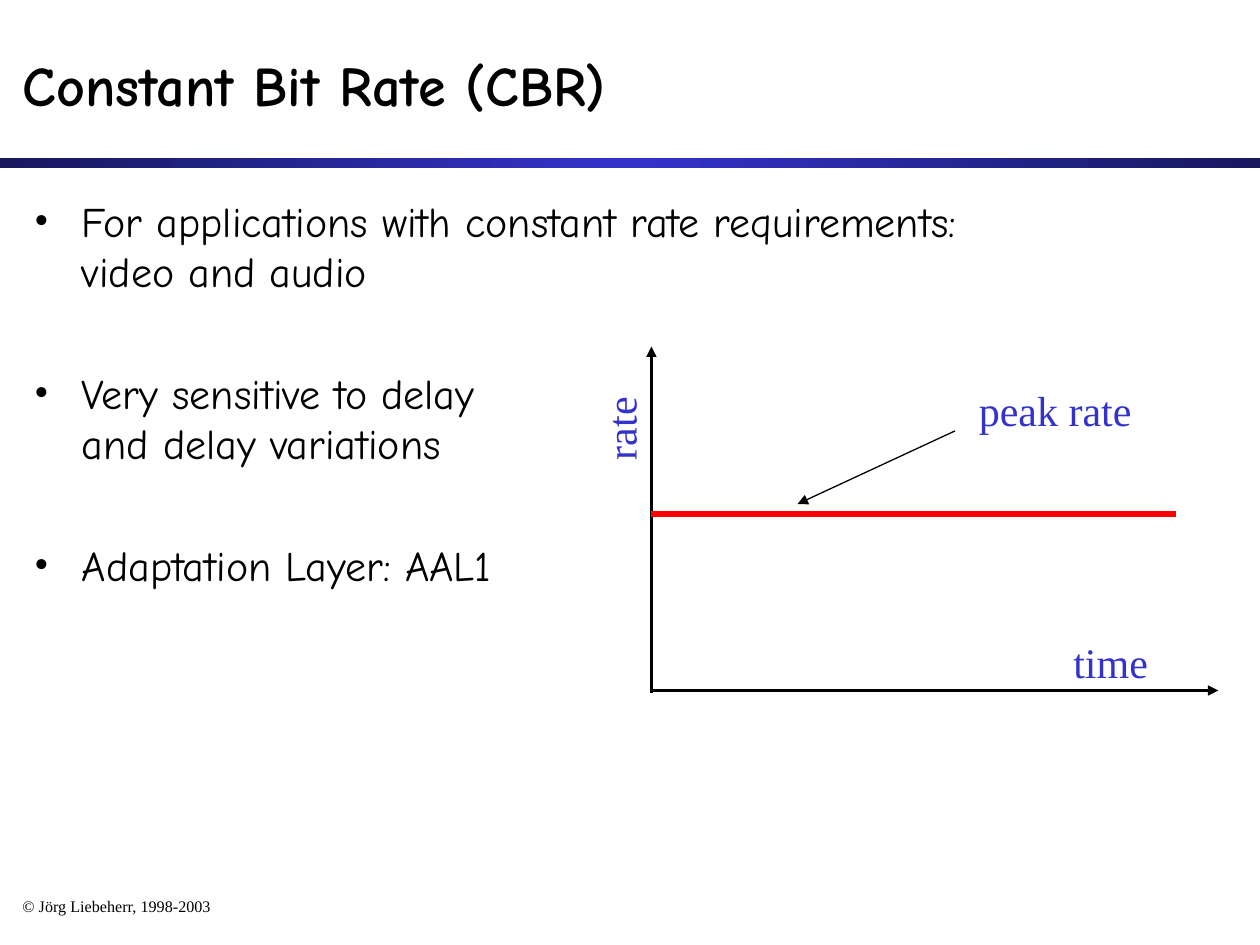
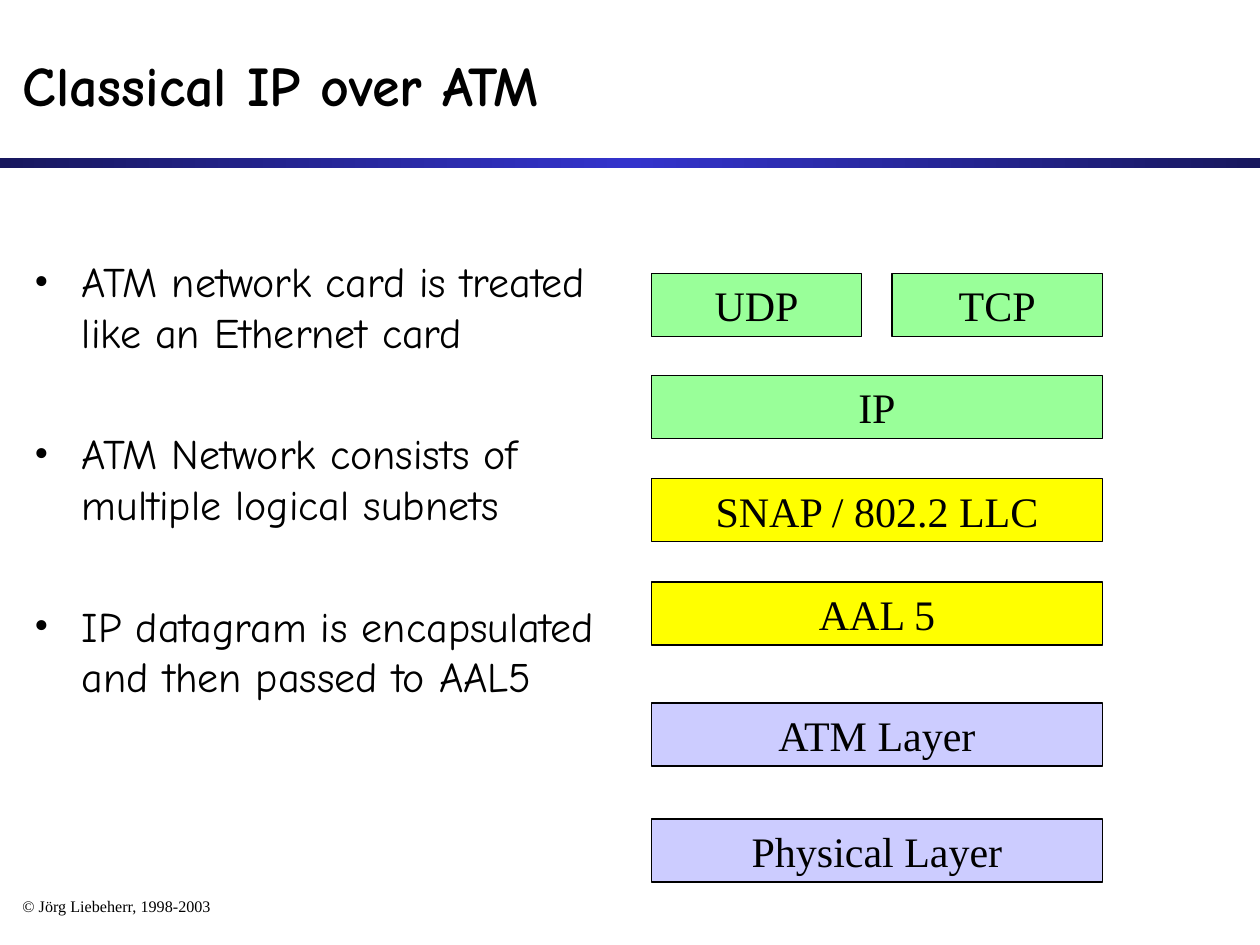
"""Build two slides on ATM: constant bit rate service and classical IP over ATM."""
from copy import deepcopy

from pptx import Presentation
from pptx.dml.color import RGBColor
from pptx.enum import shapes, text
from pptx.oxml import ns
from pptx.oxml.xmlchemy import OxmlElement
from pptx.util import Inches, Pt

COLORS = {
    "ink": "000000", "navy": "18185E", "blue": "3333CC", "red": "FF0000",
    "green": "99FF99", "yellow": "FFFF00", "lilac": "CCCCFF",
}
HEAD, SERIF = "Comic Neue", "Times New Roman"
TITLE = {"name": HEAD, "size": Pt(32), "bold": True}
BODY = {"name": HEAD, "size": Pt(24), "bold": False}
LABEL = {"name": SERIF, "size": Pt(24)}
FOOTER = {"name": SERIF, "size": Pt(9.2)}
STACK_LEFT, STACK_WIDTH, LAYER_HEIGHT, HALF_WIDTH = 5.17, 3.58, 0.5, 1.67


def rgb(name):
    return RGBColor.from_string(COLORS[name])


def format_runs(p, style, color="ink"):
    for r in p.runs:
        for key, value in style.items():
            setattr(r.font, key, value)
        r.font.color.rgb = rgb(color)
    for br in p._p.findall(ns.qn("a:br")):
        br.insert(0, deepcopy(p.runs[0]._r.rPr))


def place(sp, left, top, width, height):
    box = {"left": left, "top": top, "width": width, "height": height}
    for key, value in box.items():
        setattr(sp, key, Inches(value))


def add_rect(s, box, line=None):
    sp = s.shapes.add_shape(shapes.MSO_SHAPE.RECTANGLE, *map(Inches, box))
    sp.shadow.inherit = False
    if line:
        sp.line.color.rgb = rgb(line)
        sp.line.width = Pt(0.75)
    else:
        sp.line.fill.background()
    return sp


def add_band(s):
    sp = add_rect(s, (0, 1.25, 10, 0.08))
    sp.fill.gradient()
    sp.fill.gradient_angle = 0
    stops = sp._element.spPr.find(".//" + ns.qn("a:gsLst"))
    stops.append(deepcopy(stops[0]))
    for stop, position, color in zip(sp.fill.gradient_stops, (0, 0.5, 1), ("navy", "blue", "navy")):
        stop.position = position
        stop.color.rgb = rgb(color)


def add_text(s, words, box, style, color="ink", rotation=0):
    sp = s.shapes.add_textbox(*map(Inches, box))
    sp.rotation = rotation
    tf = sp.text_frame
    tf.word_wrap = True
    p = tf.paragraphs[0]
    p.text = words
    format_runs(p, style, color)
    return p


def add_line(s, start, end, color="ink", width=1.5, arrow=True):
    ends = map(Inches, (*start, *end))
    cx = s.shapes.add_connector(shapes.MSO_CONNECTOR.STRAIGHT, *ends)
    cx.line.color.rgb = rgb(color)
    cx.line.width = Pt(width)
    if arrow:
        tail = OxmlElement("a:tailEnd")
        tail.set("type", "triangle")
        cx.line._ln.append(tail)
    cx._element.spPr.append(OxmlElement("a:effectLst"))


def add_bullet(p):
    pPr = p._p.get_or_add_pPr()
    pPr.set("marL", str(Inches(0.38)))
    pPr.set("indent", str(-Inches(0.38)))
    for tag, key, value in (("a:buFont", "typeface", SERIF), ("a:buChar", "char", "•")):
        el = OxmlElement(tag)
        el.set(key, value)
        pPr.append(el)


def fill_body(sp, items):
    tf = sp.text_frame
    tf.auto_size = text.MSO_AUTO_SIZE.NONE
    for i, item in enumerate(items):
        p = tf.add_paragraph() if i else tf.paragraphs[0]
        p.text = item
        p.space_before = Pt(40.8 if i else 0)
        add_bullet(p)
        format_runs(p, BODY)


def add_slide(prs, title, items, body_box):
    s = prs.slides.add_slide(prs.slide_layouts[1])
    add_band(s)
    add_text(s, "© Jörg Liebeherr, 1998-2003", (0.08, 7.08, 2.83, 0.25), FOOTER).line_spacing = 0.9
    heading, body = s.placeholders
    place(heading, 0.08, 0.17, 9.83, 1)
    tf = heading.text_frame
    tf.text = title
    tf.auto_size = text.MSO_AUTO_SIZE.NONE
    tf.vertical_anchor = text.MSO_ANCHOR.MIDDLE
    tf.paragraphs[0].alignment = text.PP_ALIGN.LEFT
    format_runs(tf.paragraphs[0], TITLE)
    place(body, *body_box)
    fill_body(body, items)
    return s


def add_rate_plot(s):
    left, base = 5.17, 5.48
    add_line(s, (left, 5.5), (left, 2.75))
    add_line(s, (left, base), (9.67, base))
    add_line(s, (left, 4.08), (9.33, 4.08), "red", 3, arrow=False)
    add_line(s, (7.58, 3.42), (6.33, 4), width=0.75)
    for words, x, y, rotation in (("time", 8.42, 5, 0), ("rate", 4.13, 2.71, 270), ("peak rate", 7.67, 3, 0)):
        add_text(s, words, (x, y, 1.58, 0.5), LABEL, "blue", rotation)


def add_layer(s, words, color, top, left=STACK_LEFT, width=STACK_WIDTH):
    sp = add_rect(s, (left, top, width, LAYER_HEIGHT), "ink")
    sp.fill.solid()
    sp.fill.fore_color.rgb = rgb(color)
    tf = sp.text_frame
    tf.word_wrap = False
    tf.vertical_anchor = text.MSO_ANCHOR.MIDDLE
    p = tf.paragraphs[0]
    p.text = words
    p.alignment = text.PP_ALIGN.CENTER
    format_runs(p, LABEL)


def add_protocol_stack(s):
    add_layer(s, "UDP", "green", 2.17, width=HALF_WIDTH)
    add_layer(s, "TCP", "green", 2.17, STACK_LEFT + STACK_WIDTH - HALF_WIDTH, HALF_WIDTH)
    for words, color, top in (
        ("IP", "green", 2.98),
        ("SNAP / 802.2 LLC", "yellow", 3.8),
        ("AAL 5", "yellow", 4.62),
        ("ATM Layer", "lilac", 5.58),
        ("Physical Layer", "lilac", 6.5),
    ):
        add_layer(s, words, color, top)


def main():
    prs = Presentation()
    prs.slide_width, prs.slide_height = Inches(10), Inches(7.5)
    s = add_slide(prs, "Constant Bit Rate (CBR)", [
        "For applications with constant rate requirements:\vvideo and audio",
        "Very sensitive to delay\vand delay variations",
        "Adaptation Layer: AAL1",
    ], (0.17, 1.5, 9.75, 5.33))
    add_rate_plot(s)
    s = add_slide(prs, "Classical IP over ATM", [
        "ATM network card is treated like an Ethernet card",
        "ATM Network consists of multiple logical subnets",
        "IP datagram is encapsulated and then passed to AAL5",
    ], (0.17, 1.98, 4.83, 4.85))
    add_protocol_stack(s)
    prs.save("out.pptx")


if __name__ == "__main__":
    main()
